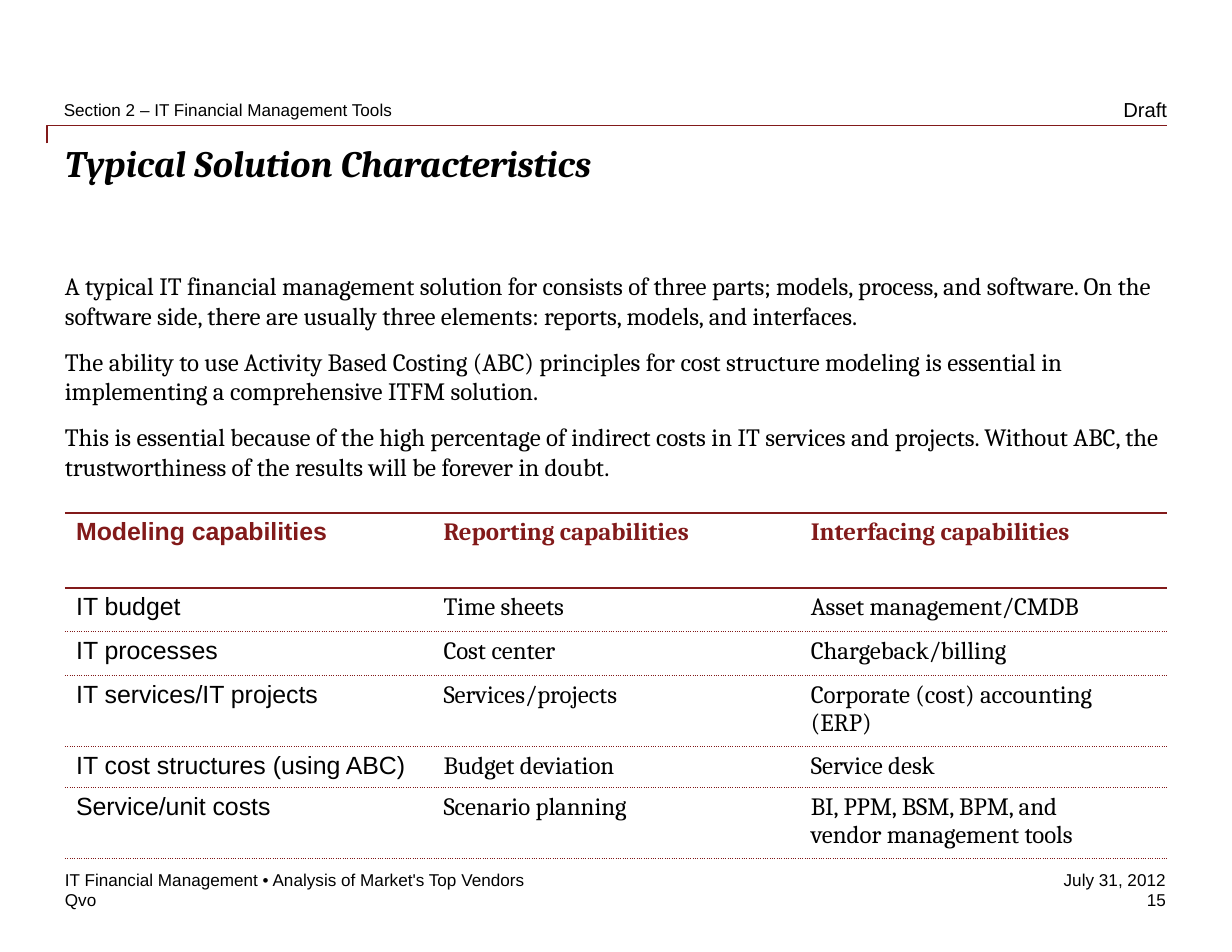
import pptx
import pptx.util
import pptx.dml.color
import pptx.enum.shapes
import pptx.enum.text
import pptx.oxml.ns
from dataclasses import dataclass
from lxml import etree

Inches = pptx.util.Inches
Pt = pptx.util.Pt
qn = pptx.oxml.ns.qn
LEFT = pptx.enum.text.PP_ALIGN.LEFT
RIGHT = pptx.enum.text.PP_ALIGN.RIGHT


@dataclass(frozen=True)
class Theme:
    ink: str = "000000"
    accent: str = "821A1A"
    sans: str = "Arial"
    serif: str = "Cambria"
    title: int = 24
    body: int = 16
    draft: int = 13
    small: int = 11
    rule: float = 1


class SlideBuilder:
    def __init__(self, slide, theme):
        self.slide = slide
        self.theme = theme

    def run(self, paragraph, text, size, font, color=None, bold=False, italic=False):
        run = paragraph.add_run()
        run.text = text
        run.font.size = Pt(size)
        run.font.name = font
        run.font.bold = bold
        run.font.italic = italic
        run.font.color.rgb = pptx.dml.color.RGBColor.from_string(color or self.theme.ink)

    def text(self, box, paragraphs, size, font, align=LEFT, wrap=False,
             space_after=0, **style):
        frame = self.slide.shapes.add_textbox(*map(Inches, box)).text_frame
        frame.word_wrap = wrap
        frame.margin_left = frame.margin_right = 0
        frame.margin_top = frame.margin_bottom = 0
        for i, content in enumerate(paragraphs):
            paragraph = frame.add_paragraph() if i else frame.paragraphs[0]
            paragraph.alignment = align
            paragraph.space_after = Pt(space_after)
            self.run(paragraph, content, size, font, **style)

    def label(self, box, content, align=LEFT, size=None):
        self.text(box, [content], size or self.theme.small, self.theme.sans, align)

    def bent_rule(self, start, end):
        rule = self.slide.shapes.add_connector(
            pptx.enum.shapes.MSO_CONNECTOR.ELBOW, *map(Inches, start + end))
        rule.line.color.rgb = pptx.dml.color.RGBColor.from_string(self.theme.accent)
        rule.line.width = Pt(self.theme.rule)
        properties = rule._element.spPr
        etree.SubElement(properties, qn("a:effectLst"))
        # Put the bend at the very start of the rule
        adjustments = properties.find(qn("a:prstGeom")).find(qn("a:avLst"))
        etree.SubElement(adjustments, qn("a:gd"), name="adj1", fmla="val 0")

    def borders(self, cell, top, bottom):
        properties = cell._tc.get_or_add_tcPr()
        edges = (("a:lnL", None), ("a:lnR", None), ("a:lnT", top), ("a:lnB", bottom))
        for position, (tag, dash) in enumerate(edges):
            edge = etree.Element(qn(tag), w=str(Pt(self.theme.rule)))
            if dash:
                fill = etree.SubElement(edge, qn("a:solidFill"))
                etree.SubElement(fill, qn("a:srgbClr"), val=self.theme.accent)
                etree.SubElement(edge, qn("a:prstDash"), val=dash)
            else:
                etree.SubElement(edge, qn("a:noFill"))
            properties.insert(position, edge)

    def table(self, box, rows, heights):
        theme = self.theme
        table = self.slide.shapes.add_table(
            len(rows), len(rows[0]), *map(Inches, box)).table
        table.first_row = table.horz_banding = False
        for row, height in zip(table.rows, heights):
            row.height = Inches(height)
        for r, row in enumerate(rows):
            header = r == 0
            for c, content in enumerate(row):
                cell = table.cell(r, c)
                cell.fill.background()
                self.borders(cell, "solid" if r <= 1 else "sysDot",
                             "solid" if header else "sysDot")
                for i, line in enumerate(content.split("\n")):
                    frame = cell.text_frame
                    paragraph = frame.add_paragraph() if i else frame.paragraphs[0]
                    self.run(paragraph, line, theme.body,
                             theme.serif if c else theme.sans,
                             theme.accent if header else theme.ink, bold=header)


INTRODUCTION = [
    "A typical IT financial management solution for consists of three parts; models, "
    "process, and software. On the software side, there are usually three elements: "
    "reports, models, and interfaces.",
    "The ability to use Activity Based Costing (ABC) principles for cost structure "
    "modeling is essential in implementing a comprehensive ITFM solution.",
    "This is essential because of the high percentage of indirect costs in IT services "
    "and projects. Without ABC, the trustworthiness of the results will be forever in doubt.",
]

CAPABILITIES = [
    ("Modeling capabilities", "Reporting capabilities", "Interfacing capabilities"),
    ("IT budget", "Time sheets", "Asset management/CMDB"),
    ("IT processes", "Cost center", "Chargeback/billing"),
    ("IT services/IT projects", "Services/projects", "Corporate (cost) accounting (ERP)"),
    ("IT cost structures (using ABC)", "Budget deviation", "Service desk"),
    ("Service/unit costs", "Scenario planning",
     "BI, PPM, BSM, BPM, and\nvendor management tools"),
]


def main():
    presentation = pptx.Presentation()
    presentation.slide_width = Inches(11)
    presentation.slide_height = Inches(8.5)
    theme = Theme()
    page = SlideBuilder(
        presentation.slides.add_slide(presentation.slide_layouts[6]), theme)

    # Header
    page.label((0.57, 0.89, 2.97, 0.19), "Section 2 – IT Financial Management Tools")
    page.label((9.97, 0.87, 0.45, 0.22), "Draft", RIGHT, theme.draft)
    page.bent_rule((0.42, 1.28), (10.42, 1.12))

    # Title and introduction
    page.text((0.58, 1.25, 9.84, 1), ["Typical Solution Characteristics"],
              theme.title, theme.serif, wrap=True, bold=True, italic=True)
    page.text((0.58, 2.42, 9.84, 4.83), INTRODUCTION, theme.body, theme.serif,
              wrap=True, space_after=10)

    # Capabilities
    page.table((0.58, 4.58, 9.84, 3.07), CAPABILITIES,
               (0.67, 0.39, 0.39, 0.6, 0.34, 0.39))

    # Footer
    page.label((0.58, 7.76, 4.17, 0.19),
               "IT Financial Management • Analysis of Market's Top Vendors")
    page.label((0.58, 7.94, 0.33, 0.19), "Qvo")
    page.label((9.01, 7.76, 1.4, 0.19), "July 31, 2012", RIGHT)
    page.label((10.16, 7.94, 0.25, 0.19), "15", RIGHT)

    presentation.save("out.pptx")


if __name__ == "__main__":
    main()
